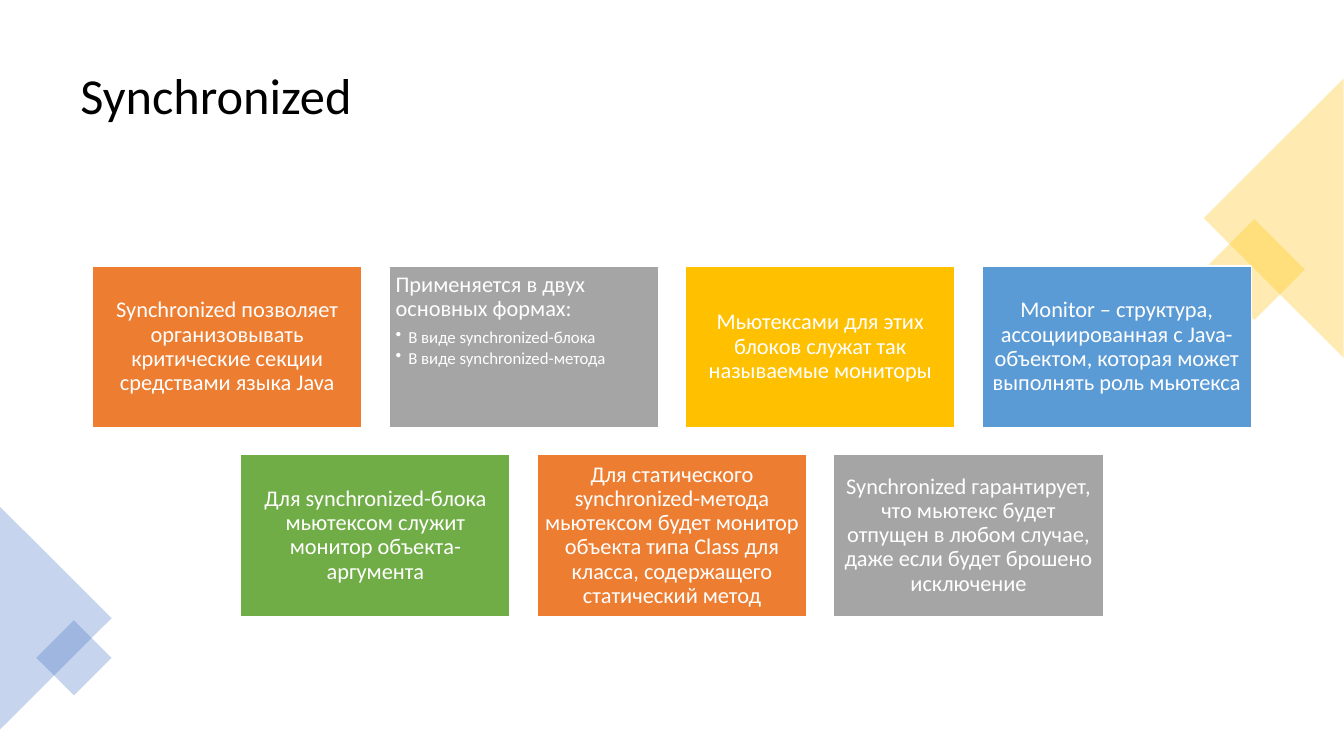
from dataclasses import dataclass

from lxml import etree
from pptx import Presentation
from pptx.dml.color import RGBColor
from pptx.enum import shapes, text
from pptx.oxml import ns
from pptx.util import Pt


@dataclass(frozen=True)
class Theme:
    font: str = "Calibri"
    ink: str = "000000"
    paper: str = "FFFFFF"
    orange: str = "ED7D31"
    grey: str = "A5A5A5"
    gold: str = "FFC000"
    sky: str = "5B9BD5"
    green: str = "70AD47"
    blue: str = "4472C4"
    title_size: float = 36
    card_size: float = 16
    bullet_size: float = 12


THEME = Theme()

CARD_ROWS = [
    [
        (THEME.orange, "Synchronized позволяет организовывать критические секции средствами языка Java", []),
        (THEME.grey, "Применяется в двух основных формах:",
         ["В виде synchronized-блока", "В виде synchronized-метода"]),
        (THEME.gold, "Мьютексами для этих блоков служат так называемые мониторы", []),
        (THEME.sky, "Monitor – структура, ассоциированная с Java-объектом, "
                    "которая может выполнять роль мьютекса", []),
    ],
    [
        (THEME.green, "Для synchronized-блока мьютексом служит монитор объекта-аргумента", []),
        (THEME.orange, "Для статического synchronized-метода мьютекcом будет монитор объекта типа Class "
                       "для класса, содержащего статический метод", []),
        (THEME.grey, "Synchronized гарантирует, что мьютекс будет отпущен в любом случае, "
                     "даже если будет брошено исключение", []),
    ],
]


def style_paragraph(paragraph, size, color):
    paragraph.line_spacing = 0.9
    paragraph.font.name = THEME.font
    paragraph.font.size = Pt(size)
    paragraph.font.color.rgb = RGBColor.from_string(color)


def add_filled(slide, preset, box, color):
    shape = slide.shapes.add_shape(preset, *map(Pt, box))
    shape.shadow.inherit = False
    shape.fill.solid()
    shape.fill.fore_color.rgb = RGBColor.from_string(color)
    return shape


def add_title(slide, box, wording):
    title = slide.shapes.add_textbox(*map(Pt, box))
    frame = title.text_frame
    frame.word_wrap = True
    frame.vertical_anchor = text.MSO_ANCHOR.MIDDLE
    frame.text = wording
    style_paragraph(frame.paragraphs[0], THEME.title_size, THEME.ink)


def add_ornament(slide, preset, box, angle, color):
    """Place a rotated, 30 % opaque corner decoration."""
    ornament = add_filled(slide, preset, box, color)
    ornament.rotation = angle
    ornament.line.fill.background()
    tint = ornament.fill._xPr.find(".//" + ns.qn("a:srgbClr"))
    etree.SubElement(tint, ns.qn("a:alpha"), val="30000")


def add_bullet(frame, wording):
    bullet = frame.add_paragraph()
    bullet.text = wording
    bullet.level = 1
    bullet.space_after = Pt(1.8)
    properties = bullet._p.get_or_add_pPr()
    properties.set("marL", str(Pt(9)))
    properties.set("indent", str(-Pt(9)))
    etree.SubElement(properties, ns.qn("a:buChar"), char="•")
    bullet.alignment = text.PP_ALIGN.LEFT
    style_paragraph(bullet, THEME.bullet_size, THEME.paper)


def add_card(slide, box, color, statement, bullets):
    card = add_filled(slide, shapes.MSO_SHAPE.RECTANGLE, box, color)
    card.line.color.rgb = RGBColor.from_string(THEME.paper)
    card.line.width = Pt(1)
    frame = card.text_frame
    frame.word_wrap = True
    frame.margin_left = frame.margin_right = frame.margin_top = frame.margin_bottom = Pt(4.8)
    frame.vertical_anchor = text.MSO_ANCHOR.TOP if bullets else text.MSO_ANCHOR.MIDDLE
    frame.text = statement
    lead = frame.paragraphs[0]
    lead.alignment = text.PP_ALIGN.LEFT if bullets else text.PP_ALIGN.CENTER
    lead.space_after = Pt(5.6)
    style_paragraph(lead, THEME.card_size, THEME.paper)
    for bullet in bullets:
        add_bullet(frame, bullet)


def add_card_grid(slide, box, rows):
    """Fill the box with centred rows of equal cards, a tenth of a card apart."""
    left, top, width = box
    columns = max(map(len, rows))
    card_width = width / (columns + 0.1 * (columns - 1))
    card_height = 0.6 * card_width
    gap = 0.1 * card_width
    for row_index, row in enumerate(rows):
        row_width = len(row) * (card_width + gap) - gap
        row_left = left + (width - row_width) / 2
        card_top = top + row_index * (card_height + gap)
        for column, (color, statement, bullets) in enumerate(row):
            card_left = row_left + column * (card_width + gap)
            add_card(slide, (card_left, card_top, card_width, card_height), color, statement, bullets)


def build_synchronized_slide(deck):
    slide = deck.slides.add_slide(deck.slide_layouts[6])
    square = shapes.MSO_SHAPE.RECTANGLE
    triangle = shapes.MSO_SHAPE.ISOSCELES_TRIANGLE
    add_title(slide, (50.4, 25.2, 859, 89.3), "Synchronized")
    add_ornament(slide, square, (870.5, 167, 51, 51), 45, THEME.gold)
    add_ornament(slide, triangle, (810, 105.8, 199.6, 100), 270, THEME.gold)
    add_ornament(slide, triangle, (-39.6, 401.7, 159, 79.7), 90, THEME.blue)
    add_ornament(slide, square, (33.8, 450.9, 38, 38), 45, THEME.blue)
    add_card_grid(slide, (66, 190, 828), CARD_ROWS)


def main():
    deck = Presentation()
    deck.slide_width, deck.slide_height = Pt(960), Pt(540)
    build_synchronized_slide(deck)
    deck.save("out.pptx")


if __name__ == "__main__":
    main()
